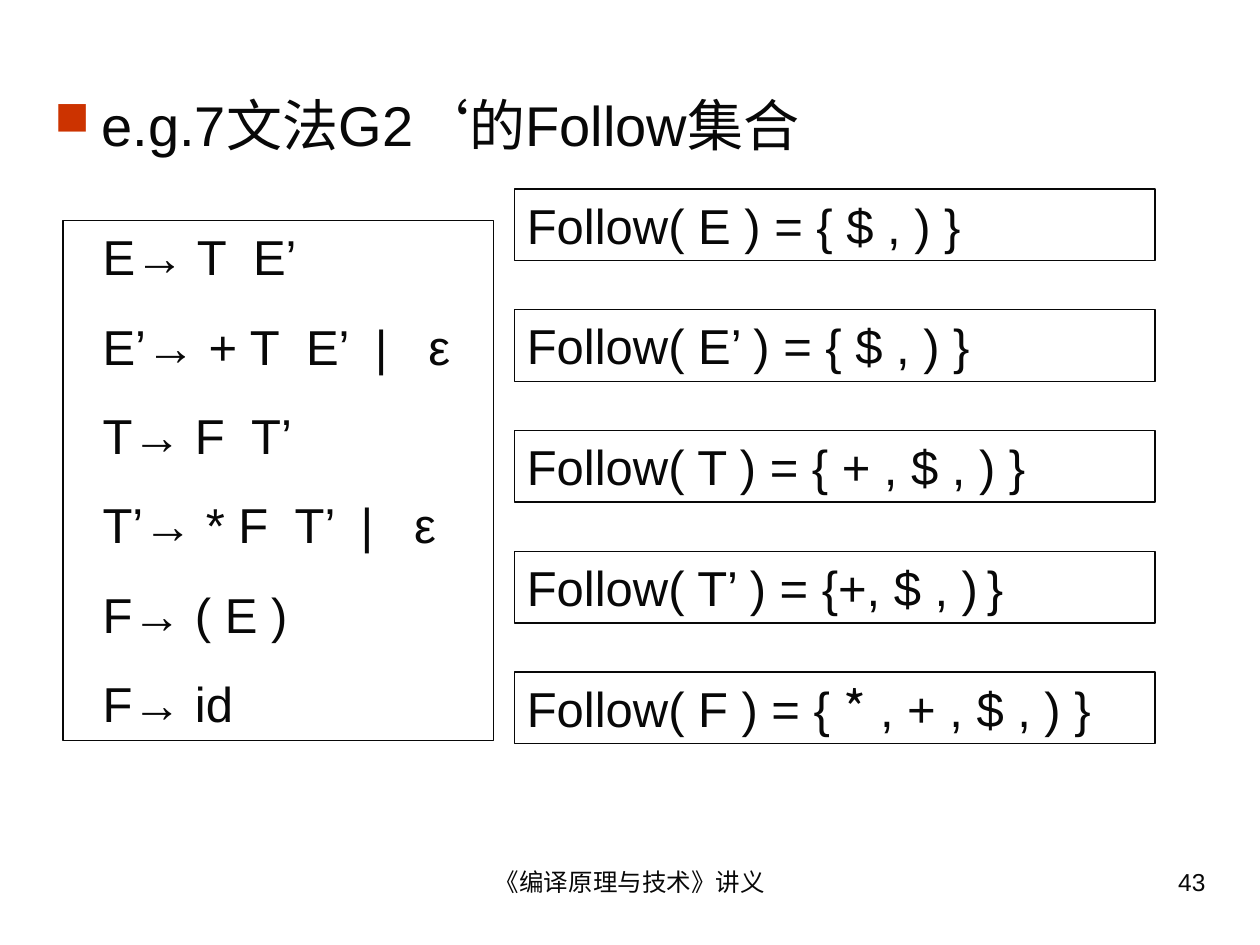
from lxml import etree
from pptx import Presentation
from pptx.dml.color import RGBColor
from pptx.enum.shapes import MSO_SHAPE
from pptx.enum.text import MSO_ANCHOR, PP_ALIGN
from pptx.oxml.ns import qn
from pptx.util import Pt

RECTANGLE = MSO_SHAPE.RECTANGLE
TOP = MSO_ANCHOR.TOP
LEFT, CENTER, RIGHT = PP_ALIGN.LEFT, PP_ALIGN.CENTER, PP_ALIGN.RIGHT
COLORS = {"ink": "080808", "bullet": "CC3300"}
LATIN, CJK = "Arial", "Noto Sans CJK SC"
BODY_SIZE = 28

PRODUCTIONS = [
    "E→ T  E’",
    "E’→ + T  E’  |   ε",
    "T→ F  T’",
    "T’→ * F  T’  |   ε",
    "F→ ( E )",
    "F→ id",
]
FOLLOW_SETS = [
    [("Follow( E ) = { $ , ) }", BODY_SIZE, LATIN)],
    [("Follow( E’ ) = { $ , ) }", BODY_SIZE, LATIN)],
    [("Follow( T ) = { + , $ , ) }", BODY_SIZE, LATIN)],
    [("Follow( T’ ) = {+, $ , )", BODY_SIZE, LATIN), (" ", 18, LATIN), ("}", BODY_SIZE, LATIN)],
    [("Follow( F ) = { ", BODY_SIZE, LATIN), ("*", BODY_SIZE, CJK), (" , + , $ , ) }", BODY_SIZE, LATIN)],
]


def add_run(paragraph, text, size, font=LATIN):
    """Append one run with its Latin and East Asian fonts."""
    run = paragraph.add_run()
    run.text = text
    run.font.size = Pt(size)
    run.font.color.rgb = RGBColor.from_string(COLORS["ink"])
    run.font.name = font
    etree.SubElement(run.font._element, qn("a:ea"), typeface=CJK)


def set_indent(paragraph, margin, first_line=0):
    """Set the left margin and first-line indent of a paragraph."""
    properties = paragraph._p.get_or_add_pPr()
    properties.set("marL", str(Pt(margin)))
    properties.set("indent", str(Pt(first_line)))
    return properties


def add_label(slide, box, text, size, align=LEFT):
    """Place a one-line text box and return its paragraph."""
    frame = slide.shapes.add_textbox(*map(Pt, box)).text_frame
    frame.word_wrap = True
    paragraph = frame.paragraphs[0]
    paragraph.alignment = align
    add_run(paragraph, text, size)
    return paragraph


def add_heading(slide, box):
    """Place the heading with its square bullet."""
    heading = add_label(slide, box, "e.g.7文法G2‘的Follow集合", 32)
    properties = set_indent(heading, 27, -27)
    color = etree.SubElement(properties, qn("a:buClr"))
    etree.SubElement(color, qn("a:srgbClr"), val=COLORS["bullet"])
    etree.SubElement(properties, qn("a:buSzPct"), val="85000")
    etree.SubElement(properties, qn("a:buChar"), char="■")


def add_frame(slide, box):
    """Place an outlined rectangle and return its text frame."""
    outline = slide.shapes.add_shape(RECTANGLE, *map(Pt, box))
    outline.shadow.inherit = False
    outline.fill.background()
    outline.line.color.rgb = RGBColor.from_string(COLORS["ink"])
    outline.line.width = Pt(0.75)
    frame = outline.text_frame
    frame.word_wrap = True
    frame.vertical_anchor = TOP
    return frame


def add_grammar(slide, box):
    """Place the framed list of grammar productions."""
    frame = add_frame(slide, box)
    for index, production in enumerate(PRODUCTIONS):
        paragraph = frame.add_paragraph() if index else frame.paragraphs[0]
        paragraph.alignment = LEFT
        set_indent(paragraph, 15.6)
        if index:
            paragraph.space_before = Pt(17.5)
        add_run(paragraph, production, BODY_SIZE)


def add_follow_sets(slide, box, row_height=41):
    """Spread the framed Follow sets evenly down the box."""
    left, top, width, height = box
    pitch = (height - row_height) / (len(FOLLOW_SETS) - 1)
    for row, pieces in enumerate(FOLLOW_SETS):
        frame = add_frame(slide, (left, top + row * pitch, width, row_height))
        paragraph = frame.paragraphs[0]
        paragraph.alignment = LEFT
        for text, size, font in pieces:
            add_run(paragraph, text, size, font)


def add_footer(slide, box):
    """Place the course name and the page number."""
    left, top, width, height = box
    add_label(slide, (left, top, 228, height), "《编译原理与技术》讲义", 14, CENTER)
    add_label(slide, (left + width - 180, top, 180, height), "43", 14, RIGHT)


def main():
    """Build and save the slide."""
    deck = Presentation()
    deck.slide_width, deck.slide_height = Pt(720), Pt(540)
    slide = deck.slides.add_slide(deck.slide_layouts[6])
    add_heading(slide, (24, 48, 672, 48))
    add_grammar(slide, (36, 126, 246, 297))
    add_follow_sets(slide, (294, 108, 366, 317))
    add_footer(slide, (246, 492, 450, 37))
    deck.save("out.pptx")


if __name__ == "__main__":
    main()
